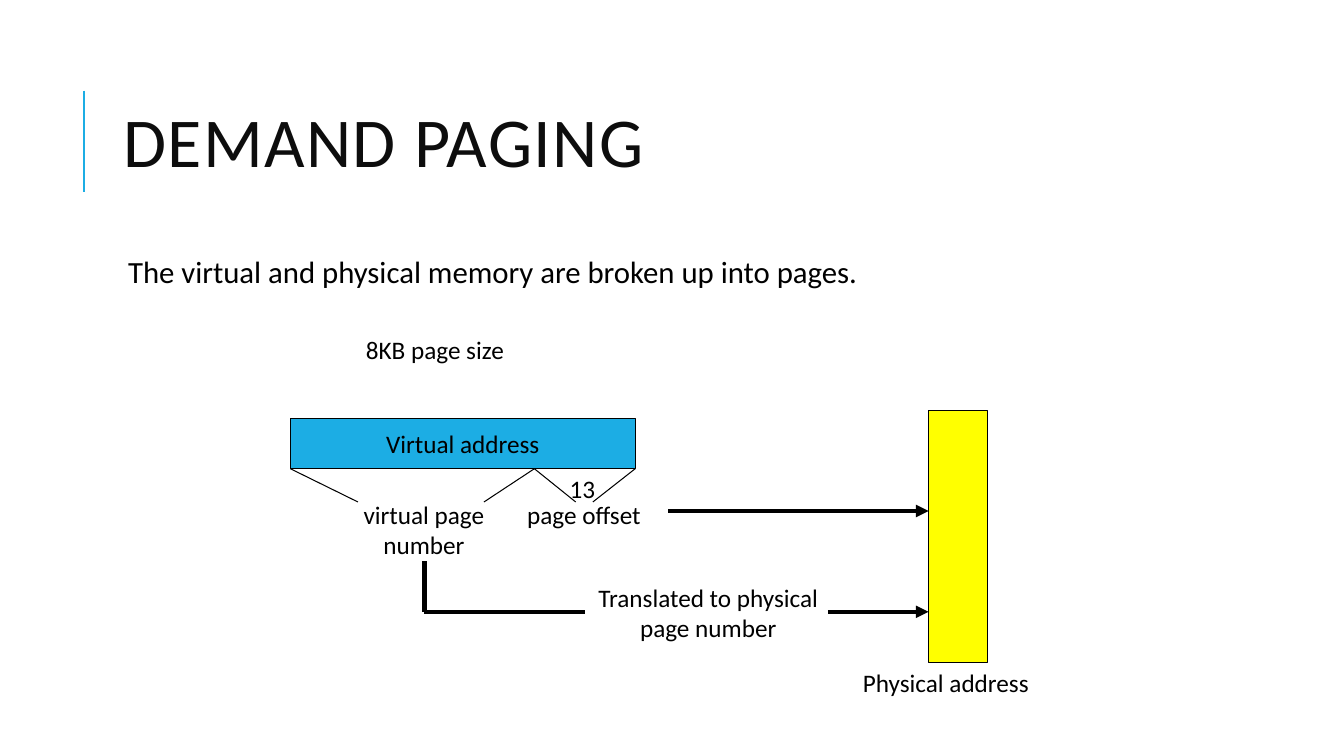
from dataclasses import dataclass

from lxml import etree
from pptx import Presentation
from pptx.dml.color import RGBColor
from pptx.enum.shapes import MSO_CONNECTOR, MSO_SHAPE
from pptx.enum.text import MSO_ANCHOR, MSO_AUTO_SIZE, PP_ALIGN
from pptx.oxml.ns import qn
from pptx.util import Inches, Pt

LEFT, CENTER = PP_ALIGN.LEFT, PP_ALIGN.CENTER
TOP, MIDDLE = MSO_ANCHOR.TOP, MSO_ANCHOR.MIDDLE
NO_FIT, GROW = MSO_AUTO_SIZE.NONE, MSO_AUTO_SIZE.SHAPE_TO_FIT_TEXT
STRAIGHT, RECT = MSO_CONNECTOR.STRAIGHT, MSO_SHAPE.RECTANGLE


@dataclass(frozen=True)
class Theme:
    font: str = "Calibri"
    accent: str = "1CADE4"
    memory: str = "FFFF00"
    ink: str = "000000"
    heading: str = "0D0D0D"
    title_size: float = 50
    body_size: float = 22
    label_size: float = 18
    thin: float = 0.75
    rule: float = 1.5
    thick: float = 3


@dataclass(frozen=True)
class Box:
    x: float
    y: float
    w: float
    h: float
    fill: str
    text: str = ""


@dataclass(frozen=True)
class Label:
    x: float
    y: float
    w: float
    lines: tuple[str, ...]
    align: PP_ALIGN = LEFT


@dataclass(frozen=True)
class Line:
    x1: float
    y1: float
    x2: float
    y2: float
    width: float
    color: str = Theme.ink
    arrow: bool = False


THEME = Theme()
VIRTUAL = Box(2.88, 4.15, 3.42, 0.5, THEME.accent, "Virtual address")
PHYSICAL = Box(9.21, 4.07, 0.58, 2.5, THEME.memory)
SPLIT_X = 5.3
FIELD_TOP = VIRTUAL.y + VIRTUAL.h
FIELD_BOTTOM = 4.98
NUMBER_X = 4.21
OFFSET_Y, NUMBER_Y = 5.07, 6.07

FIELD_EDGES = (
    (SPLIT_X, 5.71),
    (VIRTUAL.x + VIRTUAL.w, 5.88),
    (VIRTUAL.x, 3.55),
    (SPLIT_X, 4.8),
)
LINES = (
    Line(0.83, 0.9, 0.83, 1.9, THEME.rule, THEME.accent),
    *(Line(top, FIELD_TOP, bottom, FIELD_BOTTOM, THEME.thin)
      for top, bottom in FIELD_EDGES),
    Line(NUMBER_X, 5.57, NUMBER_X, NUMBER_Y, THEME.thick),
    Line(NUMBER_X, NUMBER_Y, 5.8, NUMBER_Y, THEME.thick),
    Line(8.21, NUMBER_Y, PHYSICAL.x, NUMBER_Y, THEME.thick, arrow=True),
    Line(6.63, OFFSET_Y, PHYSICAL.x, OFFSET_Y, THEME.thick, arrow=True),
)
LABELS = (
    Label(3.53, 3.27, 1.81, ("8KB page size",)),
    Label(5.13, 4.9, 1.44, ("page offset",)),
    Label(3.46, 4.9, 1.49, ("virtual page", "number"), CENTER),
    Label(5.71, 5.73, 2.63, ("Translated to physical", "page number"), CENTER),
    Label(8.46, 6.57, 2.09, ("Physical address",)),
    Label(5.55, 4.65, 0.48, ("13",)),
)


def apply(target, values: dict) -> None:
    for name, value in values.items():
        setattr(target, name, value)


def place(sp, x: float, y: float, w: float, h: float) -> None:
    apply(sp, {"left": Inches(x), "top": Inches(y),
               "width": Inches(w), "height": Inches(h)})


def write(tf, lines: tuple[str, ...], size: float, color: str,
          frame: dict, paragraph: dict) -> None:
    apply(tf, frame)
    for i, text in enumerate(lines):
        p = tf.paragraphs[0] if i == 0 else tf.add_paragraph()
        apply(p, paragraph)
        r = p.add_run()
        r.text = text
        apply(r.font, {"name": THEME.font, "size": Pt(size)})
        r.font.color.rgb = RGBColor.from_string(color)


def add_title(s, text: str) -> None:
    sp = s.shapes.title
    place(sp, 1.12, 0.64, 10.63, 1.64)
    write(sp.text_frame, (text,), THEME.title_size, THEME.heading,
          {"vertical_anchor": MIDDLE, "word_wrap": True, "auto_size": NO_FIT},
          {"alignment": LEFT, "line_spacing": 0.8})
    r = sp.text_frame.paragraphs[0].runs[0]
    r.font._element.set("spc", "100")


def add_body(s, text: str) -> None:
    sp = s.placeholders[1]
    place(sp, 1.12, 2.5, 10.63, 0.66)
    sides = ("left", "top", "right", "bottom")
    frame = {f"margin_{side}": Inches(0.05) for side in sides}
    frame |= {"vertical_anchor": TOP, "word_wrap": True, "auto_size": NO_FIT}
    write(sp.text_frame, (text,), THEME.body_size, THEME.ink, frame,
          {"alignment": LEFT, "line_spacing": 0.9,
           "space_before": Pt(12), "space_after": Pt(2)})
    pPr = sp.text_frame.paragraphs[0]._p.get_or_add_pPr()
    pPr.set("marL", str(Inches(0.1)))
    pPr.set("indent", str(-Inches(0.1)))
    color = etree.SubElement(pPr, qn("a:buClr"))
    etree.SubElement(color, qn("a:srgbClr"), val=THEME.accent)
    etree.SubElement(pPr, qn("a:buChar"), char=" ")


def add_box(s, box: Box) -> None:
    sp = s.shapes.add_shape(RECT, Inches(box.x), Inches(box.y),
                            Inches(box.w), Inches(box.h))
    sp.shadow.inherit = False
    sp.fill.solid()
    sp.fill.fore_color.rgb = RGBColor.from_string(box.fill)
    sp.line.color.rgb = RGBColor.from_string(THEME.ink)
    sp.line.width = Pt(THEME.thin)
    if box.text:
        write(sp.text_frame, (box.text,), THEME.label_size, THEME.ink,
              {"vertical_anchor": MIDDLE, "word_wrap": False},
              {"alignment": CENTER})


def add_label(s, label: Label) -> None:
    height = 0.1 + 0.3 * len(label.lines)
    sp = s.shapes.add_textbox(Inches(label.x), Inches(label.y),
                              Inches(label.w), Inches(height))
    write(sp.text_frame, label.lines, THEME.label_size, THEME.ink,
          {"word_wrap": False, "auto_size": GROW},
          {"alignment": label.align})


def add_line(s, line: Line) -> None:
    sp = s.shapes.add_connector(STRAIGHT, Inches(line.x1), Inches(line.y1),
                                Inches(line.x2), Inches(line.y2))
    sp.line.color.rgb = RGBColor.from_string(line.color)
    sp.line.width = Pt(line.width)
    if line.arrow:
        etree.SubElement(sp.line._get_or_add_ln(), qn("a:tailEnd"),
                         type="triangle")
    etree.SubElement(sp._element.spPr, qn("a:effectLst"))


def main() -> None:
    prs = Presentation()
    apply(prs, {"slide_width": Inches(13.33), "slide_height": Inches(7.5)})
    s = prs.slides.add_slide(prs.slide_layouts[1])
    add_title(s, "DEMAND PAGING")
    add_body(s, "The virtual and physical memory are broken up into pages.")
    for box in (VIRTUAL, PHYSICAL):
        add_box(s, box)
    for line in LINES:
        add_line(s, line)
    for label in LABELS:
        add_label(s, label)
    prs.save("out.pptx")


if __name__ == "__main__":
    main()
